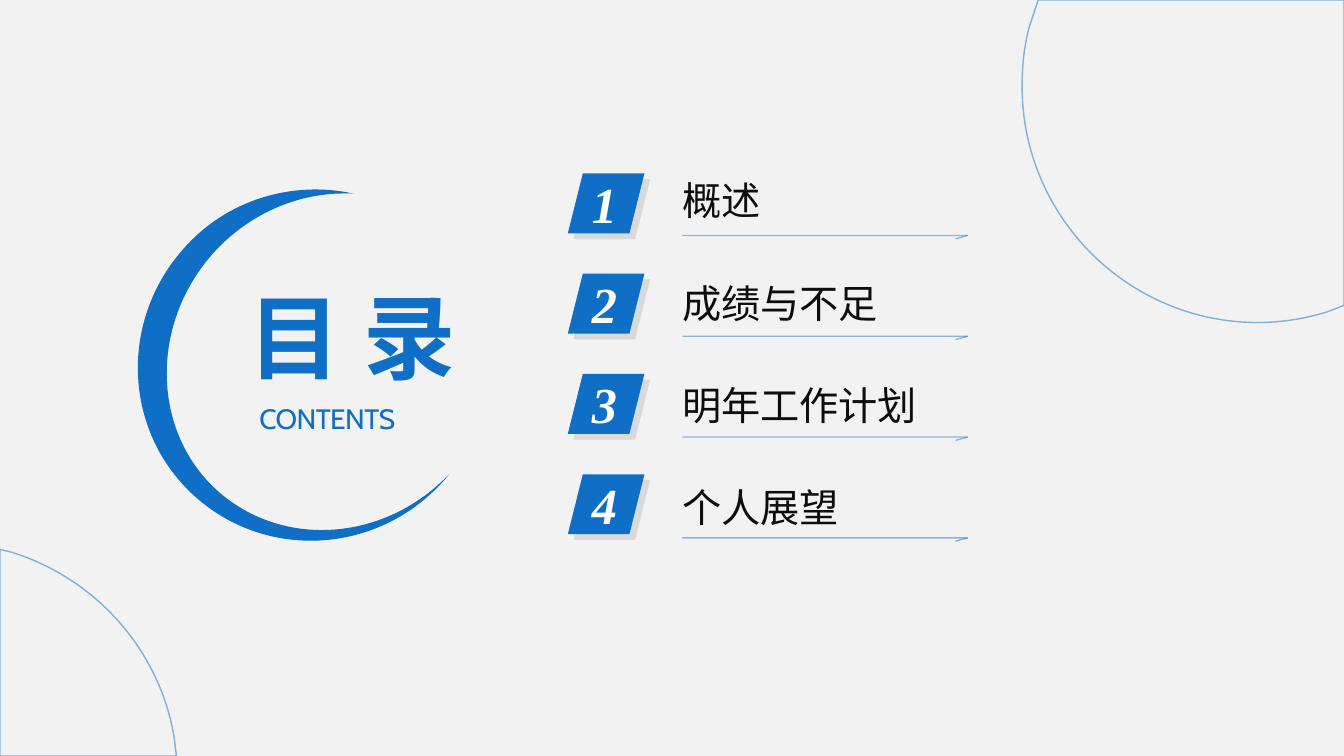
import math

import lxml.etree
import pptx
import pptx.dml.color
import pptx.enum.shapes
import pptx.enum.text
import pptx.oxml.ns
import pptx.util

BLUE = pptx.dml.color.RGBColor(0x0F, 0x6F, 0xC6)
PALE = pptx.dml.color.RGBColor(0xF2, 0xF2, 0xF2)
SHADE = pptx.dml.color.RGBColor(0xD9, 0xD9, 0xD9)
INK = pptx.dml.color.RGBColor(0x0D, 0x0D, 0x0D)
WHITE = pptx.dml.color.RGBColor(0xFF, 0xFF, 0xFF)

COLUMNS, ROWS = 400 / 3, 75
CJK_FONT = "Noto Sans CJK SC"
TOPICS = ["概述", "成绩与不足", "明年工作计划", "个人展望"]

# An outline is a list of segments: one point ends a line, three make a curve.
TOP_CORNER = [
    [(103, 0)], [(105, 0)], [(109.6, 0)], [(COLUMNS, 0)], [(COLUMNS, 30.3)], [(131.8, 30.9)],
    [(129.6, 31.6), (127.2, 32), (124.8, 32)],
    [(111.9, 32), (101.4, 21.5), (101.4, 8.6)],
    [(101.4, 6.5), (101.6, 4.6), (102.1, 2.7)],
]
BOTTOM_CORNER = [
    [(0, 54.5)], [(1.2, 54.8)],
    [(9.5, 57.4), (15.9, 64.5), (17.3, 73.3)],
    [(17.5, ROWS)], [(0, ROWS)],
]
CRESCENT = [
    [(35.1, 19.2)], [(34.1, 19.2)],
    [(29.4, 19.2), (24.5, 21.3), (21, 25.3)],
    [(14.8, 32.4), (15.1, 43), (21.7, 48.8)],
    [(28, 54.3), (37.6, 53.7), (43.9, 47.7)],
    [(44.6, 47)], [(44.1, 47.6)],
    [(37.7, 54.9), (26.7, 55.7), (19.5, 49.4)],
    [(12.3, 43.1), (11.7, 32.1), (18.1, 24.8)],
    [(22.4, 19.8), (29, 17.9), (35, 19.2)],
    [(35.1, 19.2)],
]
CRESCENT_CENTER = (30.4, 37)
CRESCENT_TURN = 41.2


def turned(segments, center, degrees):
    """The segments turned clockwise about a center."""
    cosine, sine = math.cos(math.radians(degrees)), math.sin(math.radians(degrees))

    def turn(x, y):
        across, down = x - center[0], y - center[1]
        return (center[0] + across * cosine - down * sine,
                center[1] + across * sine + down * cosine)

    return [[turn(*point) for point in segment] for segment in segments]


class GridSlide:
    """A slide whose lengths are given in columns and rows."""

    def __init__(self, presentation):
        self.column = presentation.slide_width / COLUMNS
        self.row = presentation.slide_height / ROWS
        self.slide = presentation.slides.add_slide(presentation.slide_layouts[6])
        self.slide.background.fill.solid()
        self.slide.background.fill.fore_color.rgb = PALE

    def place(self, *lengths):
        """Turn alternating columns and rows into EMU."""
        return [round(length * (self.row if i % 2 else self.column))
                for i, length in enumerate(lengths)]

    def stroke(self, line, opacity):
        line.color.rgb = BLUE
        line.width = pptx.util.Pt(1)
        color = line.fill._xPr.find(".//" + pptx.oxml.ns.qn("a:srgbClr"))
        alpha = lxml.etree.SubElement(color, pptx.oxml.ns.qn("a:alpha"))
        alpha.set("val", str(opacity * 1000))

    def paint(self, shape, fill, opacity=None):
        shape.shadow.inherit = False
        shape.fill.solid()
        shape.fill.fore_color.rgb = fill
        if opacity is None:
            shape.line.fill.background()
        else:
            self.stroke(shape.line, opacity)

    def outline(self, segments, fill, opacity=None):
        ends = [self.place(*segment[-1]) for segment in segments]
        builder = self.slide.shapes.build_freeform(*ends[0])
        builder.add_line_segments(ends[1:], close=True)
        shape = builder.convert_to_shape()
        steps = list(shape._element.iter(pptx.oxml.ns.qn("a:lnTo")))
        for step, segment in zip(steps, segments[1:]):
            if len(segment) == 3:
                self.bend(shape, step, segment)
        self.paint(shape, fill, opacity)
        return shape

    def bend(self, shape, step, segment):
        """Make a straight step of a freeform a cubic curve."""
        curve = lxml.etree.Element(pptx.oxml.ns.qn("a:cubicBezTo"))
        for point in segment:
            x, y = self.place(*point)
            lxml.etree.SubElement(curve, pptx.oxml.ns.qn("a:pt"),
                                  x=str(x - shape.left), y=str(y - shape.top))
        step.getparent().replace(step, curve)

    def parallelogram(self, left, top, fill):
        shape = self.slide.shapes.add_shape(
            pptx.enum.shapes.MSO_SHAPE.PARALLELOGRAM, *self.place(left, top, 7.6, 5.94))
        self.paint(shape, fill)

    def line(self, *ends):
        connector = self.slide.shapes.add_connector(
            pptx.enum.shapes.MSO_CONNECTOR.STRAIGHT, *self.place(*ends))
        self.stroke(connector.line, 45)
        properties = connector._element.spPr
        lxml.etree.SubElement(properties, pptx.oxml.ns.qn("a:effectLst"))

    def text(self, box, words, size, font, color, bold=False, italic=False, spacing=0):
        shape = self.slide.shapes.add_textbox(*self.place(*box))
        shape.text_frame.word_wrap = True
        shape.text_frame.text = words
        run = shape.text_frame.paragraphs[0].runs[0]
        run.font.size = pptx.util.Pt(size)
        run.font.name = font
        run.font.bold = bold
        run.font.italic = italic
        run.font.color.rgb = color
        properties = run.font._element
        if spacing:
            properties.set("spc", str(round(spacing * 100)))
        latin = properties.find(pptx.oxml.ns.qn("a:latin"))
        latin.addnext(lxml.etree.Element(pptx.oxml.ns.qn("a:ea"), typeface=font))
        return shape.text_frame


def add_title(page):
    page.text((23.7, 27.3, 35.2, 12.1), "目录", 66, CJK_FONT, BLUE, bold=True, spacing=16)
    subtitle = page.text((24.74, 39.3, 21, 4.4), "CONTENTS", 20, "Cabin", BLUE, spacing=-0.4)
    subtitle.paragraphs[0].alignment = pptx.enum.text.PP_ALIGN.JUSTIFY
    crescent = page.outline(turned(CRESCENT, CRESCENT_CENTER, -CRESCENT_TURN), BLUE)
    # The frame turns about its own middle, so set that middle on the turning point.
    middle = (crescent.left + crescent.width / 2, crescent.top + crescent.height / 2)
    offset = [(middle[0] / page.column, middle[1] / page.row)]
    target = turned([offset], CRESCENT_CENTER, CRESCENT_TURN)[0][0]
    x, y = page.place(*target)
    crescent.left = round(x - crescent.width / 2)
    crescent.top = round(y - crescent.height / 2)
    crescent.rotation = CRESCENT_TURN


def add_badge(page, index):
    top = 17.2 + 9.95 * index
    page.parallelogram(56.9, top + 0.57, SHADE)
    page.parallelogram(56.34, top, BLUE)
    page.text((57.74, top - 0.55, 5.8, 7.1), str(index + 1), 36,
              "Times New Roman", WHITE, bold=True, italic=True, spacing=6)


def add_rule(page, index):
    top = 23.36 + 10 * index
    page.line(67.7, top, 96, top)
    page.line(96, top, 94.8, top + 0.33)


def add_topic(page, index):
    box = (66.7, 17.8 + 10.15 * index, 45.6, 5)
    frame = page.text(box, TOPICS[index], 28, CJK_FONT, INK)
    frame.vertical_anchor = pptx.enum.text.MSO_ANCHOR.MIDDLE
    frame.paragraphs[0].line_spacing = 0.8
    frame.paragraphs[0].space_before = pptx.util.Pt(10)


def main():
    presentation = pptx.Presentation()
    presentation.slide_width = pptx.util.Inches(40 / 3)
    presentation.slide_height = pptx.util.Inches(7.5)
    page = GridSlide(presentation)
    page.outline(TOP_CORNER, PALE, 50)
    add_title(page)
    page.outline(BOTTOM_CORNER, PALE, 50)
    for add_part in (add_badge, add_rule, add_topic):
        for index in range(len(TOPICS)):
            add_part(page, index)
    presentation.save("out.pptx")


if __name__ == "__main__":
    main()
